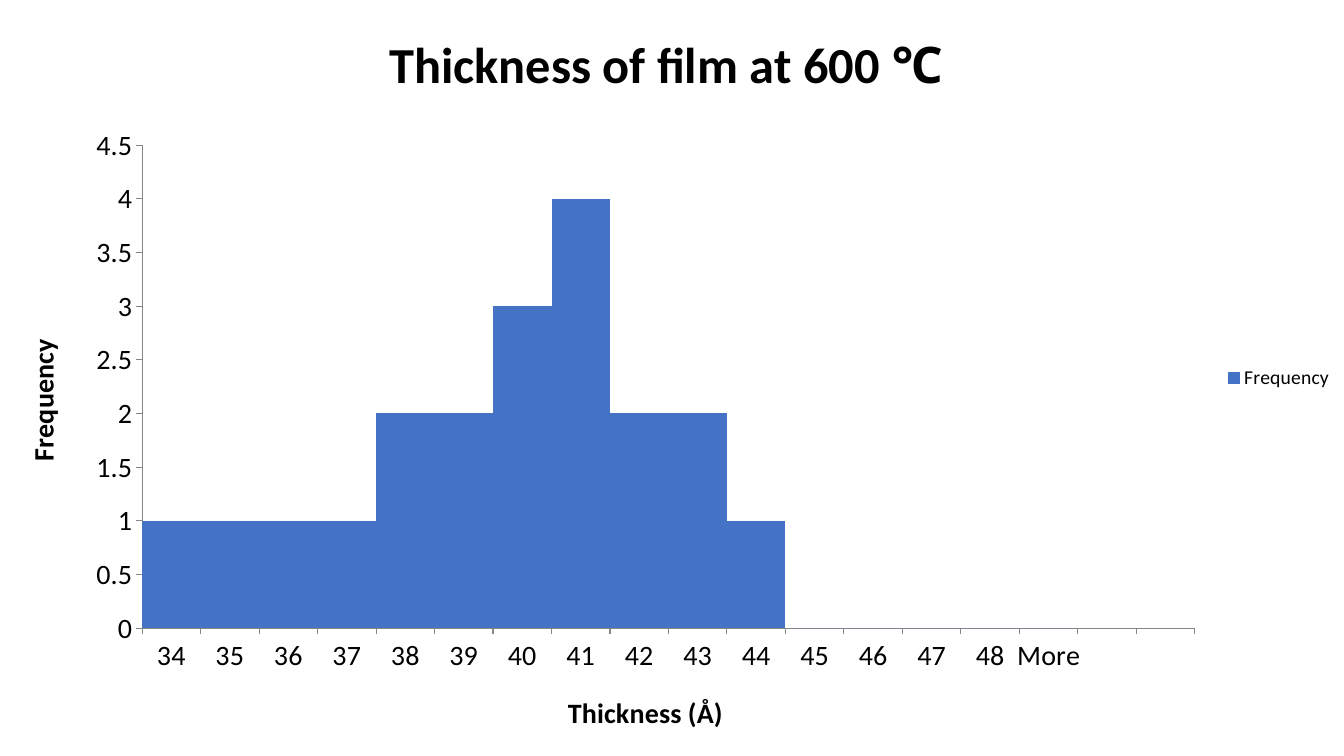
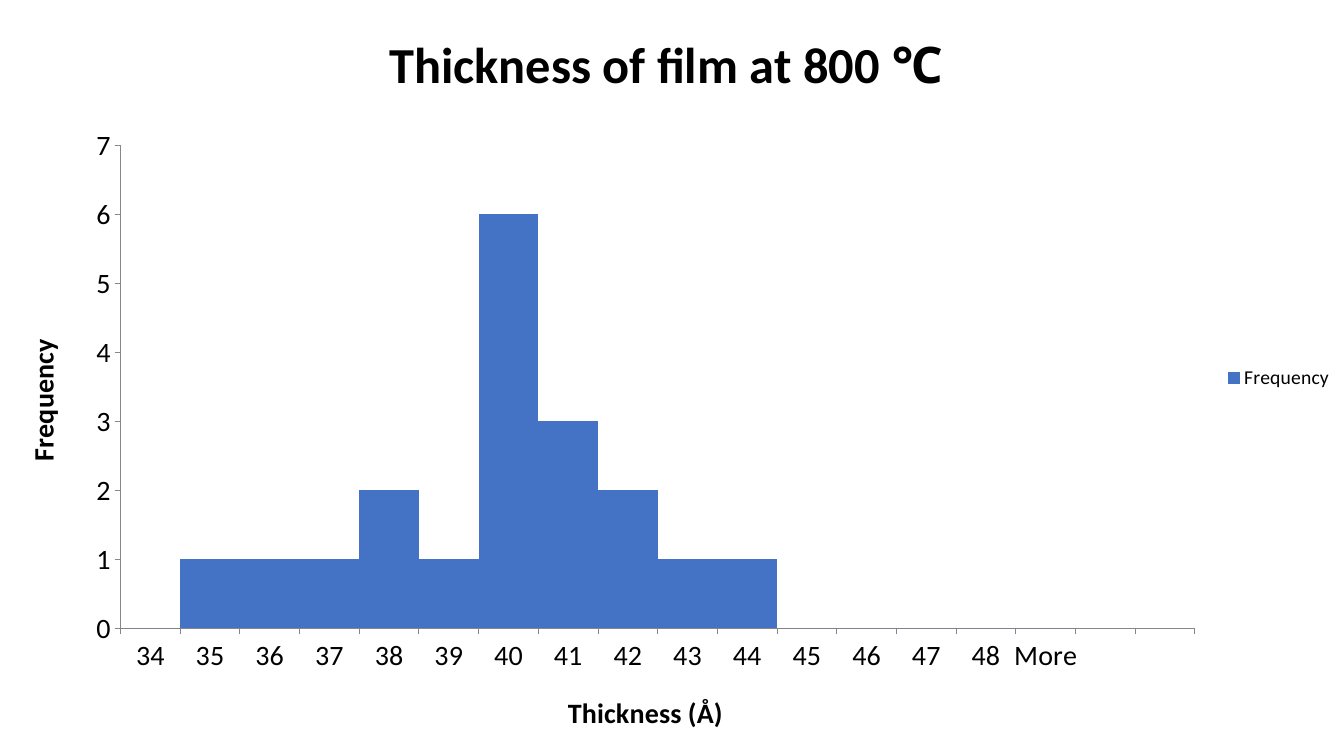
from dataclasses import dataclass

from pptx import Presentation
from pptx.chart.data import CategoryChartData
from pptx.dml.color import RGBColor
from pptx.enum.chart import XL_CHART_TYPE, XL_LEGEND_POSITION, XL_TICK_MARK
from pptx.util import Inches, Pt

COLUMNS = XL_CHART_TYPE.COLUMN_CLUSTERED
LEGEND_RIGHT = XL_LEGEND_POSITION.RIGHT
TICK_OUTSIDE = XL_TICK_MARK.OUTSIDE
TICK_NONE = XL_TICK_MARK.NONE

SLIDE_WIDTH = Inches(13.33)
SLIDE_HEIGHT = Inches(7.5)
BLANK_LAYOUT = 6

COLORS = {"text": "000000", "bar": "4472C4", "axis": "878787"}
BASE_FONT = {"name": "Calibri", "size": Pt(10), "bold": False}
TITLE_FONT = {"name": "Calibri", "size": Pt(36), "bold": True}
AXIS_TITLE_FONT = {"name": "Calibri", "size": Pt(20), "bold": True}
TICK_FONT = {"size": Pt(20), "bold": False}
LEGEND_FONT = {"size": Pt(14), "bold": False}

# Two unlabelled bins close the axis.
BINS = [str(thickness) for thickness in range(34, 49)] + ["More", "", ""]


@dataclass(frozen=True)
class Histogram:
    temperature: int
    frequencies: tuple[int, ...]
    axis_maximum: float
    axis_step: float


HISTOGRAMS = (
    Histogram(600, (1, 1, 1, 1, 2, 2, 3, 4, 2, 2, 1, 0, 0, 0, 0, 0), 4.5, 0.5),
    Histogram(800, (0, 1, 1, 1, 2, 1, 6, 3, 2, 1, 1, 0, 0, 0, 0, 0), 7, 1),
)


def format_font(font, values: dict) -> None:
    for name, value in values.items():
        setattr(font, name, value)
    font.color.rgb = RGBColor.from_string(COLORS["text"])


def write_title(owner, text: str, font_values: dict) -> None:
    """Give a chart or an axis its title."""
    paragraph = (
        owner.chart_title if hasattr(owner, "chart_title") else owner.axis_title
    ).text_frame.paragraphs[0]
    run = paragraph.add_run()
    run.text = text
    format_font(run.font, font_values)


def format_axis(axis, title: str) -> None:
    write_title(axis, title, AXIS_TITLE_FONT)
    format_font(axis.tick_labels.font, TICK_FONT)
    axis.has_major_gridlines = False
    axis.major_tick_mark = TICK_OUTSIDE
    axis.minor_tick_mark = TICK_NONE
    axis.format.line.width = Pt(0.75)
    axis.format.line.color.rgb = RGBColor.from_string(COLORS["axis"])


def add_histogram_slide(presentation, histogram: Histogram) -> None:
    slide = presentation.slides.add_slide(presentation.slide_layouts[BLANK_LAYOUT])
    data = CategoryChartData()
    data.categories = BINS
    unused_bins = len(BINS) - len(histogram.frequencies)
    data.add_series("Frequency", histogram.frequencies + (None,) * unused_bins)
    chart = slide.shapes.add_chart(
        COLUMNS, Inches(0), Inches(0), SLIDE_WIDTH, SLIDE_HEIGHT, data
    ).chart

    format_font(chart.font, BASE_FONT)
    write_title(
        chart, f"Thickness of film at {histogram.temperature} ℃ ", TITLE_FONT
    )
    format_axis(chart.category_axis, "Thickness (Å)")
    format_axis(chart.value_axis, "Frequency")
    chart.value_axis.minimum_scale = 0
    chart.value_axis.maximum_scale = histogram.axis_maximum
    chart.value_axis.major_unit = histogram.axis_step

    chart.has_legend = True
    chart.legend.position = LEGEND_RIGHT
    chart.legend.include_in_layout = False
    format_font(chart.legend.font, LEGEND_FONT)

    plot = chart.plots[0]
    plot.gap_width = 0
    plot.vary_by_categories = False
    fill = plot.series[0].format.fill
    fill.solid()
    fill.fore_color.rgb = RGBColor.from_string(COLORS["bar"])


def main() -> None:
    presentation = Presentation()
    presentation.slide_width = SLIDE_WIDTH
    presentation.slide_height = SLIDE_HEIGHT
    for histogram in HISTOGRAMS:
        add_histogram_slide(presentation, histogram)
    presentation.save("out.pptx")


if __name__ == "__main__":
    main()
